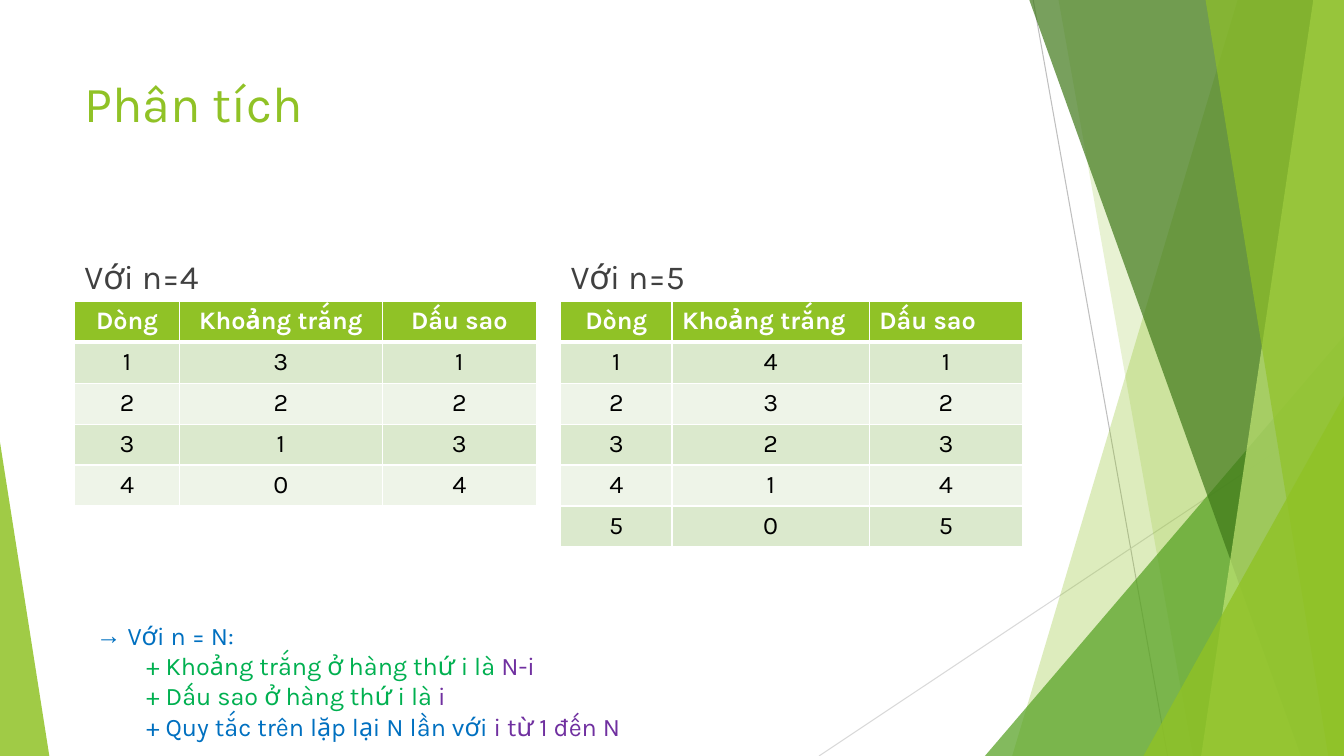
from pptx import Presentation
from pptx.dml.color import RGBColor
from pptx.enum.shapes import MSO_CONNECTOR, MSO_SHAPE
from pptx.enum.text import MSO_ANCHOR, PP_ALIGN
from pptx.oxml.ns import qn
from pptx.util import Pt
from lxml.etree import SubElement

PX = 9525
WIDTH, HEIGHT = 1280, 720
LIME, WHITE, BLACK, GREY = "90C226", "FFFFFF", "000000", "404040"
BLUE, GREEN, PURPLE = "0070C0", "00B050", "7030A0"
BANDS = ["DBE9CD", "EEF4E8"]


def rgb(code):
    return RGBColor.from_string(code)


def px(*lengths):
    return [length * PX for length in lengths]


class AnalysisSlide:
    font = "Karla"

    def __init__(self, deck):
        self.shapes = deck.slides.add_slide(deck.slide_layouts[6]).shapes

    def line(self, start, end, color):
        connector = self.shapes.add_connector(MSO_CONNECTOR.STRAIGHT, *px(*start, *end))
        connector.line.color.rgb = rgb(color)
        connector.line.width = Pt(0.75)
        SubElement(connector._element.spPr, qn("a:effectLst"))

    def tint(self, shape, color, opacity):
        shape.shadow.inherit = False
        shape.fill.solid()
        shape.fill.fore_color.rgb = rgb(color)
        shape.line.fill.background()
        shade = shape._element.spPr.find(qn("a:solidFill")).find(qn("a:srgbClr"))
        SubElement(shade, qn("a:alpha")).set("val", str(opacity * 1000))

    def ribbon(self, top_x, bottom_x, color, opacity):
        outline = self.shapes.build_freeform(top_x, -1, scale=PX)
        outline.add_line_segments([(WIDTH, -1), (WIDTH, HEIGHT), (bottom_x, HEIGHT)], close=True)
        self.tint(outline.convert_to_shape(), color, opacity)

    def corner(self, left, top, width, apex, color, opacity):
        triangle = self.shapes.add_shape(
            MSO_SHAPE.ISOSCELES_TRIANGLE, *px(left, top, width, HEIGHT - top))
        triangle.adjustments[0] = apex
        self.tint(triangle, color, opacity)

    def style(self, run, size, color, bold=False):
        run.font.name = self.font
        run.font.size = Pt(size)
        run.font.bold = bold
        run.font.color.rgb = rgb(color)

    def text(self, box, paragraphs, size, anchor=MSO_ANCHOR.TOP, space_before=0):
        frame = self.shapes.add_textbox(*px(*box)).text_frame
        frame.word_wrap = True
        frame.vertical_anchor = anchor
        for index, pieces in enumerate(paragraphs):
            paragraph = frame.add_paragraph() if index else frame.paragraphs[0]
            paragraph.space_before = Pt(space_before)
            for words, color in pieces:
                run = paragraph.add_run()
                run.text = words
                self.style(run, size, color)
        return frame

    def indent(self, paragraph, margin, hanging=0, bullet=None):
        properties = paragraph._p.get_or_add_pPr()
        properties.set("marL", str(margin * PX))
        properties.set("indent", str(-hanging * PX))
        if bullet:
            SubElement(properties, qn("a:buFont")).set("typeface", "Arial")
            SubElement(properties, qn("a:buChar")).set("char", bullet)

    def borders(self, cell, row):
        properties = cell._tc.get_or_add_tcPr()
        widths = {"L": 1, "R": 1, "T": 3 if row == 1 else 1, "B": 1 if row else 3}
        for side, width in widths.items():
            border = SubElement(properties, qn("a:ln" + side), w=str(Pt(width)))
            fill = SubElement(border, qn("a:solidFill"))
            SubElement(fill, qn("a:srgbClr"), val=WHITE)

    def table(self, left, top, columns, rows, header_aligns, row_height=39):
        table = self.shapes.add_table(
            len(rows), len(columns),
            *px(left, top, sum(columns), row_height * len(rows))).table
        table.horz_banding = False
        for column, width in zip(table.columns, px(*columns)):
            column.width = width
        for r, values in enumerate(rows):
            table.rows[r].height = row_height * PX
            for c, value in enumerate(values):
                cell = table.cell(r, c)
                self.borders(cell, r)
                cell.fill.solid()
                cell.fill.fore_color.rgb = rgb(BANDS[(r - 1) % 2] if r else LIME)
                cell.text_frame.text = str(value)
                paragraph = cell.text_frame.paragraphs[0]
                paragraph.alignment = PP_ALIGN.CENTER if r else header_aligns[c]
                self.style(paragraph.runs[0], 18, BLACK if r else WHITE, bold=not r)


def main():
    deck = Presentation()
    deck.slide_width, deck.slide_height = px(WIDTH, HEIGHT)
    slide = AnalysisSlide(deck)

    slide.line((984, 0), (1112, HEIGHT), "BFBFBF")
    slide.line((WIDTH, 387), (780, HEIGHT), "D9D9D9")
    slide.ribbon(1179, 964, LIME, 30)
    slide.ribbon(1008, 1136, LIME, 20)
    slide.corner(938, 320, 342, 1, "54A021", 72)
    slide.ribbon(980, 1239, "3F7819", 70)
    slide.ribbon(1251, 1144, "C0E474", 70)
    slide.ribbon(1148, 1265, LIME, 65)
    slide.corner(1089, 377, 191, 1, LIME, 80)
    slide.corner(0, 421, 47, 0, LIME, 85)

    slide.text((71, 64, 902, 138), [[("Phân tích", LIME)]], 36)

    center, left_aligned = PP_ALIGN.CENTER, PP_ALIGN.LEFT
    cases = [
        (4, 71, [100, 193, 147], [center] * 3),
        (5, 534, [106, 188, 146], [center, left_aligned, left_aligned]),
    ]
    for n, left, columns, header_aligns in cases:
        slide.text((left, 227, 440, 60), [[(f"Với n={n}", GREY)]], 24, MSO_ANCHOR.BOTTOM, 10)
        rows = [["Dòng", "Khoảng trắng", "Dấu sao"]]
        rows += [[i, n - i, i] for i in range(1, n + 1)]
        slide.table(left, 287, columns, rows, header_aligns)

    conclusion = slide.text((82, 586, 892, 126), [
        [("Với n = N:", BLUE)],
        [("+ Khoảng trắng ở hàng thứ i là ", GREEN), ("N-i", PURPLE)],
        [("+ Dấu sao ở hàng thứ i là ", GREEN), ("i", PURPLE)],
        [("+ Quy tắc trên lặp lại N lần với ", BLUE), ("i từ 1 đến N", PURPLE)],
    ], 18)
    heading, *rules = conclusion.paragraphs
    slide.indent(heading, 30, 30, "→")
    for rule in rules:
        slide.indent(rule, 48)

    deck.save("out.pptx")


if __name__ == "__main__":
    main()
